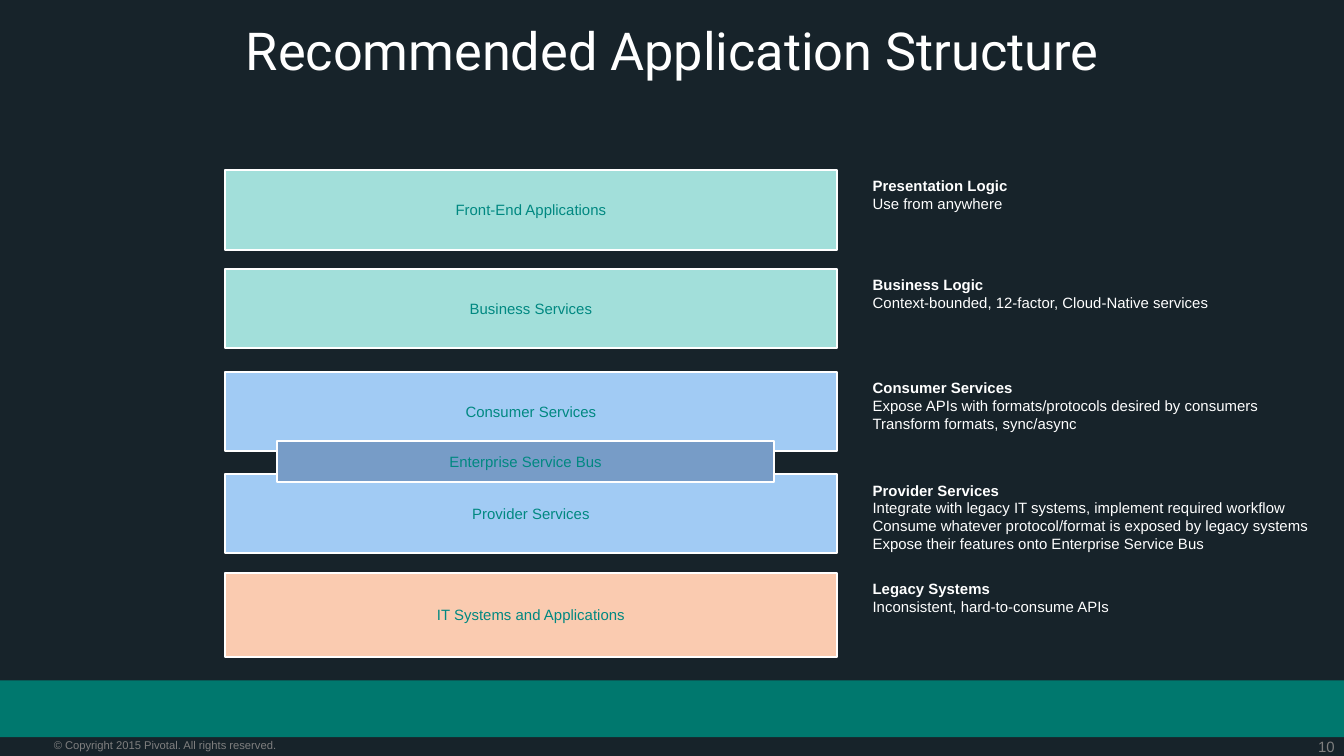
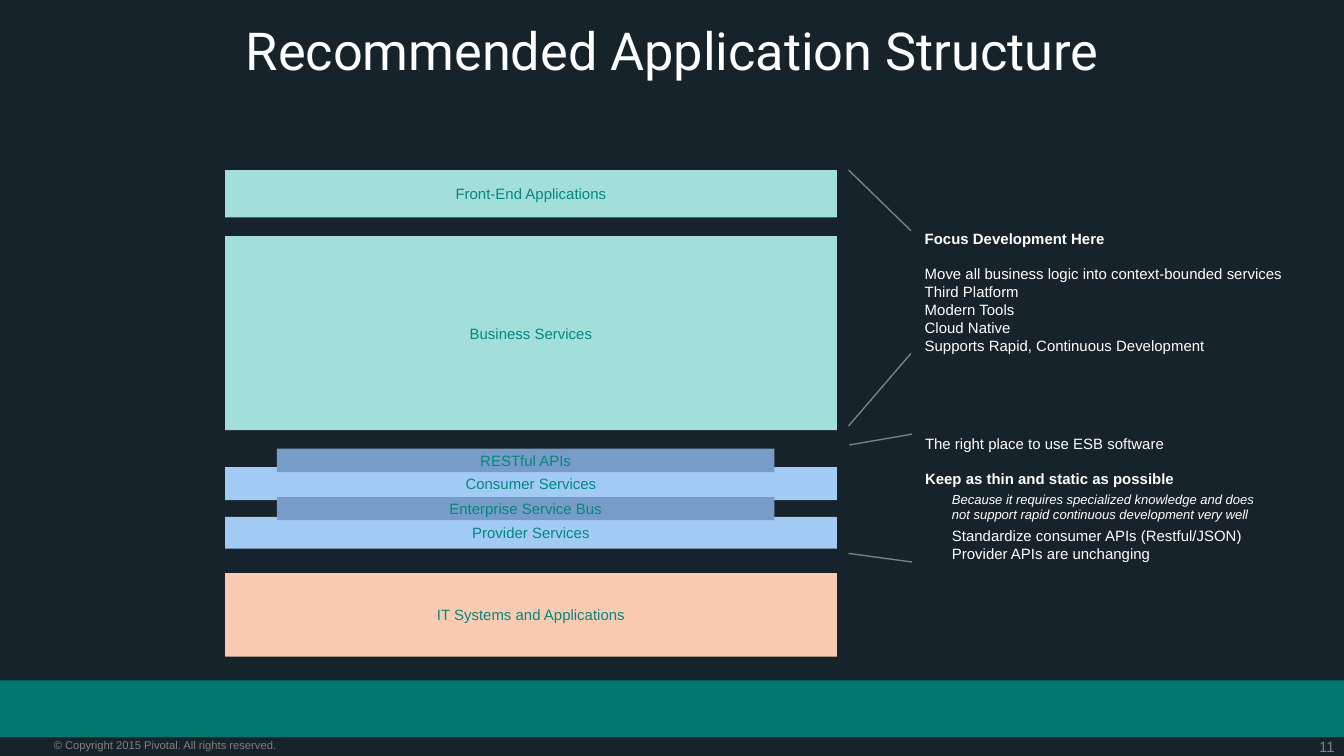
from lxml import etree
from pptx import Presentation
from pptx.dml.color import RGBColor
from pptx.enum import shapes, text
from pptx.oxml import ns
from pptx.util import Pt

# Shared look
NAVY, GREEN, WHITE, GRAY = "17232A", "00786E", "FFFFFF", "7F7F7F"
MINT, BLUE, STEEL, PEACH, LABEL = "A2DFDA", "A1CBF4", "779CC7", "FACBB0", "008881"
TITLE = "Recommended Application Structure"
COPYRIGHT = "© Copyright 2015 Pivotal. All rights reserved."
BAR_LEFT, BAR_WIDTH = 120.6, 327.7
BUS_LEFT, BUS_WIDTH = 148.4, 266.5
CENTER, RIGHT = text.PP_ALIGN.CENTER, text.PP_ALIGN.RIGHT

# Bars: label, colour, top, height
LAYERS = [
    ("IT Systems and Applications", PEACH, 307.1, 44.7),
    ("Provider Services", BLUE, 254, 42.4),
    ("Consumer Services", BLUE, 199.3, 42.4),
    ("Business Services", MINT, 144.1, 42.4),
    ("Front-End Applications", MINT, 91.1, 42.8),
    ("Enterprise Service Bus", STEEL, 236.3, 21.8),
]
FOCUSED_LAYERS = [
    ("IT Systems and Applications", PEACH, 307.1, 44.7),
    ("Provider Services", BLUE, 277, 17),
    ("Consumer Services", BLUE, 250.3, 17.6),
    ("Business Services", MINT, 126.5, 104),
    ("Front-End Applications", MINT, 91.1, 25.4),
    ("Enterprise Service Bus", STEEL, 266.3, 12.4),
    ("RESTful APIs", STEEL, 240.4, 12.5),
]

# Notes beside the layers: top, width, height, heading, lines
LAYER_NOTES = [
    (90.9, 88.6, 36, "Presentation Logic", ["Use from anywhere"]),
    (144.2, 195.8, 36, "Business Logic",
     ["Context-bounded, 12-factor, Cloud-Native services"]),
    (199.4, 223.2, 36, "Consumer Services",
     ["Expose APIs with formats/protocols desired by consumers",
      "Transform formats, sync/async"]),
    (254.2, 249.8, 46, "Provider Services",
     ["Integrate with legacy IT systems, implement required workflow",
      "Consume whatever protocol/format is exposed by legacy systems",
      "Expose their features onto Enterprise Service Bus"]),
    (306.9, 141.8, 26.6, "Legacy Systems", ["Inconsistent, hard-to-consume APIs"]),
]
FOCUS_LINES = ["Third Platform", "Modern Tools", "Cloud Native",
               "Supports Rapid, Continuous Development"]
GUIDES = [(455, 238.4, 488.6, 232.6), (454.6, 296.5, 488.6, 301.1),
          (454.6, 228.2, 488, 189.4), (488, 123.6, 454.6, 91.1)]


def color(value):
    return RGBColor.from_string(value)


def write(para, words, size=8, ink=WHITE, font="Arial", bold=False, italic=False,
          align=None, before=0, after=0, indent=0, spacing=None):
    if indent:
        para.level = 1
        props = para._p.get_or_add_pPr()
        props.set("marL", str(Pt(indent)))
        props.set("indent", "0")
    if align is not None:
        para.alignment = align
    if spacing:
        para.line_spacing = spacing
    para.space_before, para.space_after = Pt(before), Pt(after)
    span = para.add_run()
    span.text = words
    span.font.name, span.font.size = font, Pt(size)
    span.font.bold, span.font.italic = bold, italic
    span.font.color.rgb = color(ink)


def add_text(page, place, lines, inset=True, wrap=False):
    """Each line is a pair of words and format."""
    frame = page.shapes.add_textbox(*map(Pt, place)).text_frame
    frame.word_wrap = wrap
    if not inset:
        frame.margin_left = frame.margin_right = 0
        frame.margin_top = frame.margin_bottom = 0
    for index, (words, style) in enumerate(lines):
        para = frame.add_paragraph() if index else frame.paragraphs[0]
        write(para, words, **style)
    return frame


def add_note(page, place, lines, wrap=False):
    frame = add_text(page, place, lines, wrap=wrap)
    frame.auto_size = text.MSO_AUTO_SIZE.SHAPE_TO_FIT_TEXT


def add_box(page, place, fill, outline=None):
    box = page.shapes.add_shape(shapes.MSO_SHAPE.RECTANGLE, *map(Pt, place))
    box.shadow.inherit = False
    box.fill.solid()
    box.fill.fore_color.rgb = color(fill)
    if outline:
        box.line.color.rgb = color(outline)
        box.line.width = Pt(1)
    else:
        box.line.fill.background()
    return box


def add_layers(page, layers, outline=None):
    for label, fill, top, height in layers:
        left, width = (BUS_LEFT, BUS_WIDTH) if fill == STEEL else (BAR_LEFT, BAR_WIDTH)
        frame = add_box(page, (left, top, width, height), fill, outline).text_frame
        frame.word_wrap = False
        frame.vertical_anchor = text.MSO_ANCHOR.MIDDLE
        write(frame.paragraphs[0], label, ink=LABEL, align=CENTER)


def add_guide(page, ends):
    guide = page.shapes.add_connector(shapes.MSO_CONNECTOR.STRAIGHT, *map(Pt, ends))
    guide.line.color.rgb = color(GRAY)
    guide.line.width = Pt(0.75)
    etree.SubElement(guide._element.spPr, ns.qn("a:effectLst"))


def add_page(deck, number):
    """A page with background, band, footer and title."""
    page = deck.slides.add_slide(deck.slide_layouts[6])
    page.background.fill.solid()
    page.background.fill.fore_color.rgb = color(NAVY)
    add_box(page, (0, 364.5, 720, 30.5), GREEN)
    add_text(page, (673, 395.3, 42, 10),
             [(str(number), dict(ink=GRAY, align=RIGHT))], inset=False, wrap=True)
    add_text(page, (28.8, 395.3, 179, 7),
             [(COPYRIGHT, dict(size=6, ink=GRAY))], inset=False, wrap=True)
    add_text(page, (28.8, 13.7, 662.4, 36),
             [(TITLE, dict(size=28, font="Roboto", align=CENTER, spacing=0.9))],
             inset=False, wrap=True)
    return page


def main():
    deck = Presentation()
    deck.slide_width, deck.slide_height = Pt(720), Pt(405)

    # Layers and their roles
    page = add_page(deck, 10)
    add_layers(page, LAYERS, WHITE)
    for top, width, height, heading, lines in LAYER_NOTES:
        add_note(page, (460.4, top, width, height),
                 [(heading, dict(bold=True))] + [(line, {}) for line in lines])

    # Where to focus development
    page = add_page(deck, 11)
    add_layers(page, FOCUSED_LAYERS)
    add_note(page, (488.3, 119.7, 207.4, 75),
             [("Focus Development Here", dict(bold=True)),
              ("Move all business logic into context-bounded services", dict(before=9.2))]
             + [(line, {}) for line in FOCUS_LINES])
    add_note(page, (488.5, 229.3, 194.4, 77), [
        ("The right place to use ESB software", {}),
        ("Keep as thin and static as possible", dict(bold=True, before=9.2)),
        ("Because it requires specialized knowledge and does "
         "not support rapid continuous development very well",
         dict(size=7, italic=True, indent=14.4, before=2, after=2)),
        ("Standardize consumer APIs (Restful/JSON)", dict(indent=14.4)),
        ("Provider APIs are unchanging", dict(indent=14.4)),
    ], wrap=True)
    for ends in GUIDES:
        add_guide(page, ends)

    deck.save("out.pptx")


if __name__ == "__main__":
    main()
